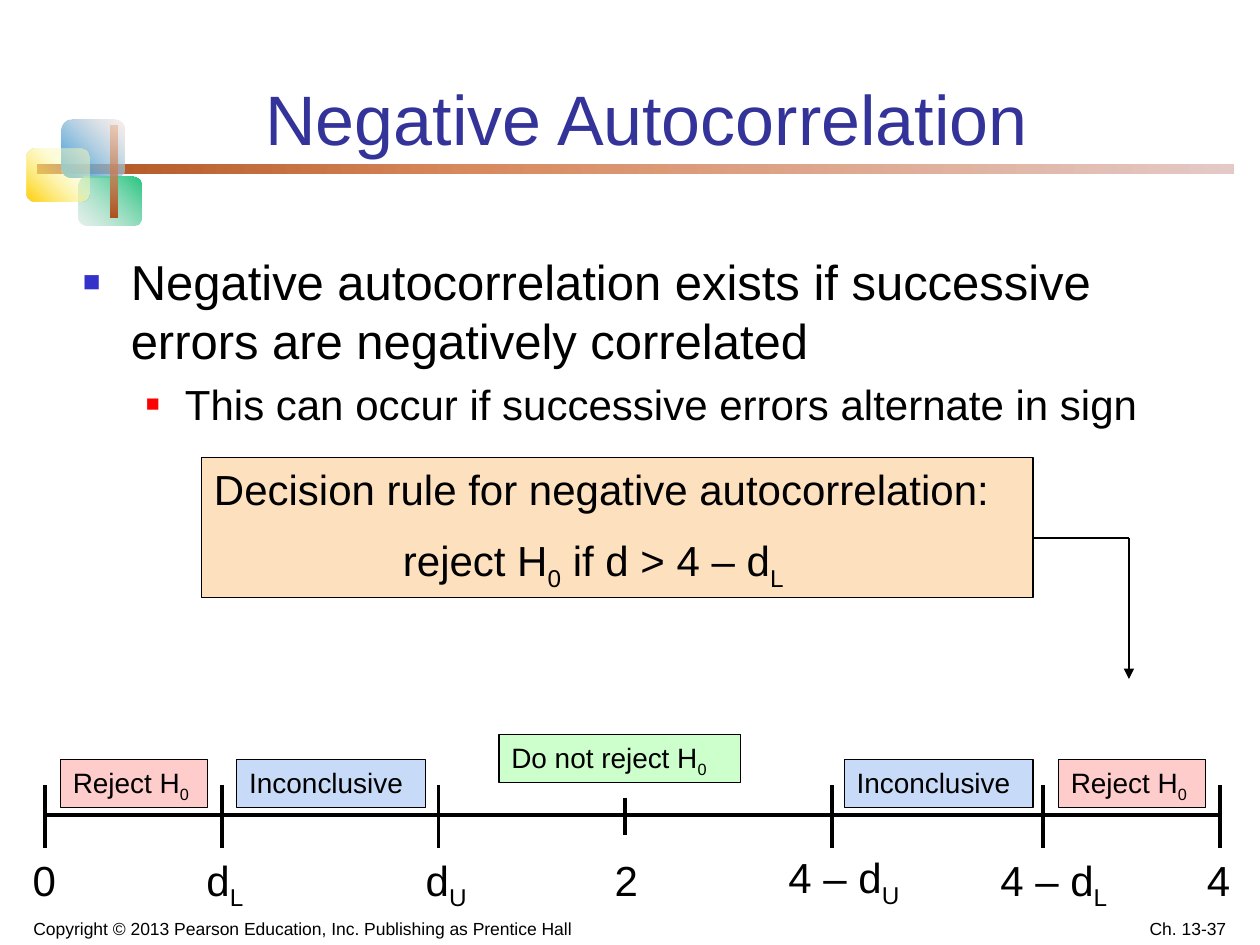
from lxml import etree
from pptx import Presentation
from pptx.dml.color import RGBColor
from pptx.enum.shapes import MSO_CONNECTOR, MSO_SHAPE
from pptx.enum.text import MSO_ANCHOR, PP_ALIGN
from pptx.oxml import parse_xml
from pptx.oxml.ns import nsdecls, qn
from pptx.util import Inches, Pt

FONT = "Arial"
BLACK = RGBColor(0x00, 0x00, 0x00)
TITLE_BLUE = RGBColor(0x33, 0x33, 0x99)
BULLET_BLUE = RGBColor(0x33, 0x33, 0xCC)
BULLET_RED = RGBColor(0xFF, 0x00, 0x00)
PEACH = RGBColor(0xFD, 0xE0, 0xBD)
REJECT_PINK = RGBColor(0xFF, 0xCC, 0xCC)
KEEP_GREEN = RGBColor(0xCC, 0xFF, 0xCC)
UNSURE_BLUE = RGBColor(0xC7, 0xDA, 0xF7)

# Master decoration: left, top, width, height, corner, angle, (position, colour, alpha)
DECORATION = [
    (0.29, 1.3, 9.5, 0.08, 0, 0,
     [(0, "AE511E", 100), (37, "D88A5E", 100), (100, "E4C9C6", 100)]),
    (0.49, 0.95, 0.5, 0.46, 0.17, 315, [(0, "2895D8", 100), (100, "F7E2D9", 50)]),
    (0.62, 1.4, 0.5, 0.39, 0.17, 135, [(0, "25C580", 100), (100, "CCE2D9", 50)]),
    (0.21, 1.18, 0.5, 0.42, 0.17, 315, [(0, "FFCF01", 100), (63, "FCFCBC", 50)]),
    (0.88, 1, 0.05, 0.73, 0, 270, [(0, "AE511E", 100), (100, "EAA782", 50)]),
]

# Number line: tick x, half height, label, label left, label top, label width
AXIS_Y = 6.47
TICKS = [
    (0.36, 0.25, "0", 0.16, 6.73, 0.42),
    (1.76, 0.25, "d_L", 1.54, 6.73, 0.58),
    (3.48, 0.25, "d_U", 3.28, 6.73, 0.58),
    (4.96, 0.15, "2", 4.78, 6.73, 0.42),
    (6.6, 0.25, "4 – d_U", 6.16, 6.71, 1.2),
    (8.28, 0.25, "4 – d_L", 7.84, 6.73, 1.08),
    (9.68, 0.25, "4", 9.48, 6.73, 0.48),
]

# Regions: left, top, width, text, fill
REGIONS = [
    (0.48, 6.03, 1.17, "Reject H_0", REJECT_PINK),
    (1.88, 6.03, 1.5, "Inconclusive", UNSURE_BLUE),
    (3.96, 5.83, 1.92, "Do not reject H_0", KEEP_GREEN),
    (6.7, 6.03, 1.5, "Inconclusive", UNSURE_BLUE),
    (8.4, 6.03, 1.17, "Reject H_0", REJECT_PINK),
]


def write(paragraph, marked, size, color=BLACK, align=PP_ALIGN.LEFT):
    """Write text in which _ starts and ends a subscript."""
    paragraph.alignment = align
    for index, part in enumerate(marked.split("_")):
        run = paragraph.add_run()
        run.text = part
        run.font.name, run.font.size = FONT, Pt(size)
        run.font.color.rgb = color
        if index % 2:
            run._r.get_or_add_rPr().set("baseline", "-25000")


def indent(paragraph, left, first=0):
    properties = paragraph._p.get_or_add_pPr()
    properties.set("marL", str(Inches(left)))
    properties.set("indent", str(Inches(first)))
    return properties


def add_bullet(paragraph, color, percent, left, hanging):
    properties = indent(paragraph, left, -hanging)
    bullet_color = etree.SubElement(properties, qn("a:buClr"))
    etree.SubElement(bullet_color, qn("a:srgbClr"), val=str(color))
    etree.SubElement(properties, qn("a:buSzPct"), val=str(percent * 1000))
    etree.SubElement(properties, qn("a:buFont"), typeface=FONT)
    etree.SubElement(properties, qn("a:buChar"), char="■")


def add_text(slide, box, anchor=MSO_ANCHOR.TOP):
    frame = slide.shapes.add_textbox(*map(Inches, box)).text_frame
    frame.word_wrap = True
    frame.vertical_anchor = anchor
    return frame


def add_panel(slide, box, fill):
    panel = slide.shapes.add_shape(MSO_SHAPE.RECTANGLE, *map(Inches, box))
    panel.shadow.inherit = False
    panel.fill.solid()
    panel.fill.fore_color.rgb = fill
    panel.line.color.rgb = BLACK
    panel.line.width = Pt(0.75)
    panel.text_frame.word_wrap = True
    panel.text_frame.vertical_anchor = MSO_ANCHOR.TOP
    return panel.text_frame


def add_line(slide, start, end, width, arrow=False):
    line = slide.shapes.add_connector(
        MSO_CONNECTOR.STRAIGHT, *map(Inches, start + end))
    line.line.color.rgb = BLACK
    line.line.width = Pt(width)
    if arrow:
        etree.SubElement(line.line._get_or_add_ln(), qn("a:tailEnd"), type="triangle")
    etree.SubElement(line._element.spPr, qn("a:effectLst"))


def add_gradient_bar(slide, left, top, width, height, corner, angle, stops):
    bar = slide.shapes.add_shape(
        MSO_SHAPE.ROUNDED_RECTANGLE, *map(Inches, (left, top, width, height)))
    bar.adjustments[0] = corner
    bar.line.fill.background()
    bar.shadow.inherit = False
    stop_xml = "".join(
        f'<a:gs pos="{position * 1000}"><a:srgbClr val="{color}">'
        f'<a:alpha val="{alpha * 1000}"/></a:srgbClr></a:gs>'
        for position, color, alpha in stops)
    gradient = parse_xml(
        f'<a:gradFill {nsdecls("a")} rotWithShape="1"><a:gsLst>{stop_xml}</a:gsLst>'
        f'<a:lin ang="{angle * 60000}" scaled="1"/></a:gradFill>')
    bar._element.spPr.find(qn("a:prstGeom")).addnext(gradient)


def add_title(slide, text):
    title = slide.shapes.title
    title.left, title.top, title.width, title.height = map(
        Inches, (1.26, 0.23, 7.74, 1.08))
    title.text_frame.vertical_anchor = MSO_ANCHOR.BOTTOM
    paragraph = title.text_frame.paragraphs[0]
    write(paragraph, text, 40, TITLE_BLUE, PP_ALIGN.CENTER)
    paragraph.line_spacing = 0.8


def add_body(slide):
    frame = add_text(slide, (0.56, 1.95, 9.03, 1.6))
    point = frame.paragraphs[0]
    add_bullet(point, BULLET_BLUE, 60, 0.38, 0.38)
    write(point, "Negative autocorrelation exists if successive errors "
                 "are negatively correlated", 28)
    detail = frame.add_paragraph()
    detail.level = 1
    detail.space_before = Pt(5)
    add_bullet(detail, BULLET_RED, 55, 0.81, 0.31)
    write(detail, "This can occur if successive errors alternate in sign", 24)


def add_decision_rule(slide):
    frame = add_panel(slide, (1.6, 3.63, 6.6, 1.11), PEACH)
    write(frame.paragraphs[0], "Decision rule for negative autocorrelation:", 24)
    rule = frame.add_paragraph()
    rule.space_before = Pt(12)
    indent(rule, 1.5)
    write(rule, "reject H_0_ if d > 4 – d_L", 24)
    # Elbow arrow to the rejection region
    add_line(slide, (8.96, 4.27), (8.2, 4.27), 1.5)
    add_line(slide, (8.96, 4.27), (8.96, 5.39), 1.5, arrow=True)


def add_number_line(slide):
    add_line(slide, (TICKS[0][0], AXIS_Y), (TICKS[-1][0], AXIS_Y), 2.25)
    for x, half, label, left, top, width in TICKS:
        add_line(slide, (x, AXIS_Y - half + 0.01), (x, AXIS_Y + half + 0.01), 2.25)
        write(add_text(slide, (left, top, width, 0.5)).paragraphs[0], label, 24)
    for left, top, width, text, fill in REGIONS:
        write(add_panel(slide, (left, top, width, 0.38), fill).paragraphs[0], text, 16)


def add_footer(slide, box, text, align):
    frame = add_text(slide, box, MSO_ANCHOR.BOTTOM)
    write(frame.paragraphs[0], text, 10, align=align)


def main():
    deck = Presentation()
    deck.slide_width, deck.slide_height = Inches(10), Inches(7.5)
    slide = deck.slides.add_slide(deck.slide_layouts[5])
    for bar in DECORATION:
        add_gradient_bar(slide, *bar)
    add_title(slide, "Negative Autocorrelation")
    add_body(slide)
    add_decision_rule(slide)
    add_number_line(slide)
    add_footer(slide, (0, 7.15, 4.8, 0.35),
               "Copyright © 2013 Pearson Education, Inc. Publishing as Prentice Hall",
               PP_ALIGN.CENTER)
    add_footer(slide, (7.5, 7.15, 2.33, 0.35), "Ch. 13-37", PP_ALIGN.RIGHT)
    deck.save("out.pptx")


if __name__ == "__main__":
    main()
